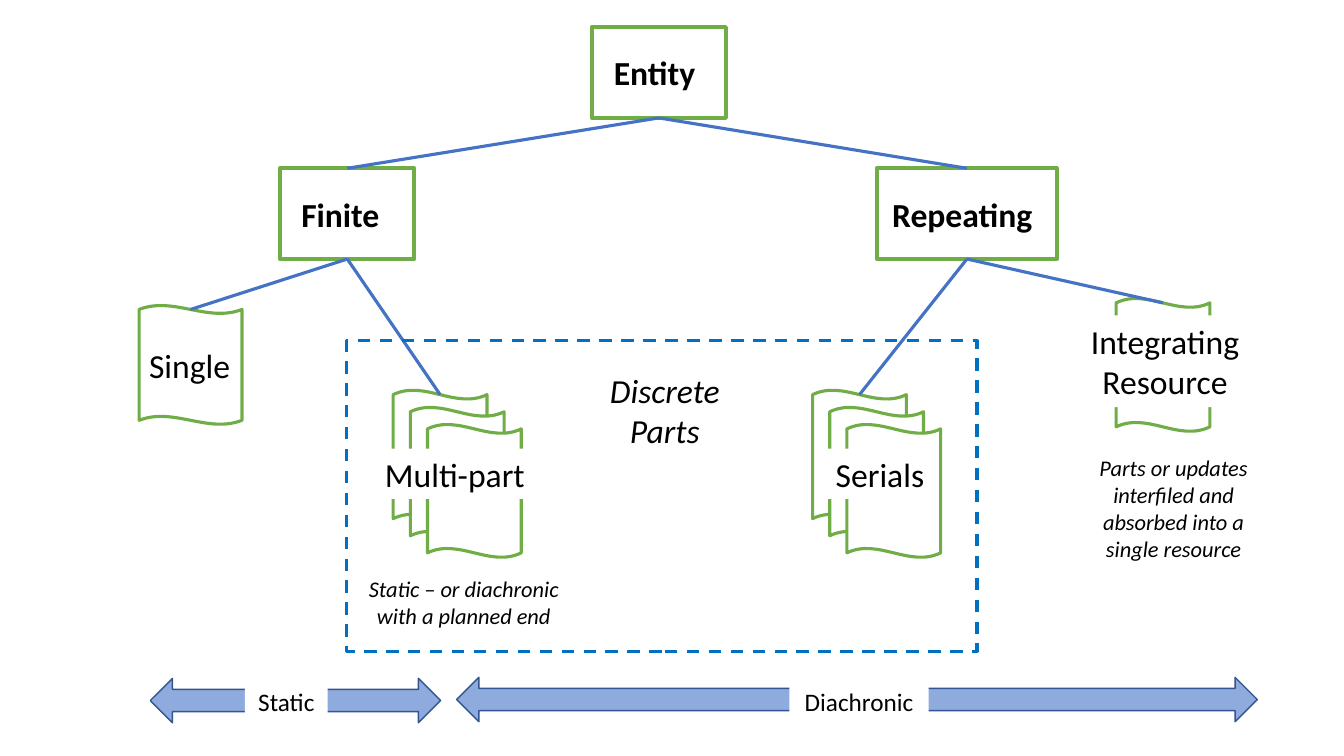
from lxml import etree
from pptx import Presentation
from pptx.dml.color import RGBColor
from pptx.enum import dml, shapes, text
from pptx.oxml import ns
from pptx.util import Inches, Pt

GREEN = RGBColor(0x70, 0xAD, 0x47)
BLUE = RGBColor(0x44, 0x72, 0xC4)
DASH_BLUE = RGBColor(0x00, 0x70, 0xC0)
ARROW_FILL = RGBColor(0x8F, 0xAA, 0xDC)
ARROW_LINE = RGBColor(0x32, 0x54, 0x91)
WHITE = RGBColor(0xFF, 0xFF, 0xFF)
BLACK = RGBColor(0, 0, 0)
FONT = "Calibri"

# Boxes: name, left, top, width, label left, label width
BOX_HEIGHT = 0.9
BOXES = [
    ("Entity", 5.87, 0.27, 1.33, 5.99, 1.1),
    ("Finite", 2.78, 1.67, 1.33, 2.89, 1.1),
    ("Repeating", 8.7, 1.67, 1.78, 8.75, 1.67),
]
BRANCHES = [("Entity", "Finite"), ("Entity", "Repeating")]

# Stacks of sheets: parent box, left, top, width, height, number of sheets
SHEET_STEP = 0.17
SHEET_CURVE = 0.034
STACKS = [
    ("Finite", 1.38, 3.03, 1.02, 1.18, 1),
    ("Finite", 3.9, 3.87, 0.93, 1.32, 3),
    ("Repeating", 8.06, 3.87, 0.93, 1.32, 3),
    ("Repeating", 11.07, 2.96, 0.93, 1.32, 1),
]

# Labels: text, left, top, width, height, size, italic, centred, fill
# (\n starts a paragraph, \v breaks a line)
LABELS = [
    ("Single", 1.38, 3.37, 1.1, 0.5, 24, False, False, None),
    ("Multi-part", 3.72, 4.45, 1.67, 0.5, 24, False, False, WHITE),
    ("Serials", 8.19, 4.45, 1.1, 0.5, 24, False, False, WHITE),
    ("Discrete\nParts", 5.76, 3.62, 1.67, 0.91, 24, True, True, WHITE),
    ("Integrating\vResource", 10.47, 3.13, 2.17, 0.91, 24, False, True, WHITE),
]
NOTES = [
    ("Static – or diachronic with a planned end",
     3.52, 5.66, 2.16, 0.64, 16, True, True, WHITE),
    ("Parts or updates interfiled and absorbed into a single resource",
     10.56, 4.46, 2.16, 1.18, 16, True, True, WHITE),
]
DISCRETE_AREA = (3.44, 3.38, 6.25, 3.08)
ARROWS = [(1.49, 6.73, 2.88, 0.44), (4.53, 6.72, 7.94, 0.44)]
ARROW_LABELS = [
    ("Static", 2.43, 6.76, 0.82, 0.4, 18, False, True, WHITE),
    ("Diachronic", 7.83, 6.76, 1.38, 0.4, 18, False, True, WHITE),
]

prs = Presentation()
prs.slide_width, prs.slide_height = Inches(13.33), Inches(7.5)
s = prs.slides.add_slide(prs.slide_layouts[6])


def add_shape(kind, place, fill, line, width):
    sp = s.shapes.add_shape(kind, *map(Inches, place))
    sp.shadow.inherit = False
    if fill is None:
        sp.fill.background()
    else:
        sp.fill.solid()
        sp.fill.fore_color.rgb = fill
    sp.line.color.rgb = line
    sp.line.width = Pt(width)
    return sp


def add_label(words, left, top, width, height, size,
              italic=False, centred=False, fill=None, bold=False):
    sp = s.shapes.add_textbox(*map(Inches, (left, top, width, height)))
    if fill is not None:
        sp.fill.solid()
        sp.fill.fore_color.rgb = fill
    tf = sp.text_frame
    tf.word_wrap = True
    tf.text = words
    for p in tf.paragraphs:
        if centred:
            p.alignment = text.PP_ALIGN.CENTER
        for r in p.runs:
            r.font.name, r.font.size = FONT, Pt(size)
            r.font.bold, r.font.italic = bold, italic
            r.font.color.rgb = BLACK


def add_branch(parent, x=0, y=0):
    line = s.shapes.add_connector(
        shapes.MSO_CONNECTOR.STRAIGHT, 0, 0, Inches(x), Inches(y))
    line.begin_connect(parent, 2)
    line.line.color.rgb = BLUE
    line.line.width = Pt(2.25)
    etree.SubElement(line._element.spPr, ns.qn("a:effectLst"))
    return line


# Sheets
for _, left, top, width, height, count in STACKS:
    for i in range(count):
        shift = i * SHEET_STEP
        sheet = add_shape(shapes.MSO_SHAPE.WAVE,
                          (left + shift, top + shift, width, height),
                          WHITE, GREEN, 2.25)
        sheet.adjustments[0] = SHEET_CURVE
        sheet.adjustments[1] = 0

# Boxes and labels
boxes = {}
for name, left, top, width, label_left, label_width in BOXES:
    boxes[name] = add_shape(shapes.MSO_SHAPE.RECTANGLE,
                            (left, top, width, BOX_HEIGHT), WHITE, GREEN, 3)
    add_label(name, label_left, top + 0.2, label_width, 0.5, 24, bold=True)
for label in LABELS:
    add_label(*label)

# Branches of the tree
for parent, child in BRANCHES:
    add_branch(boxes[parent]).end_connect(boxes[child], 0)
for parent, left, top, width, height, _ in STACKS:
    add_branch(boxes[parent], left + width / 2, top + SHEET_CURVE * height)

# Dashed area of discrete parts
area = add_shape(shapes.MSO_SHAPE.RECTANGLE, DISCRETE_AREA,
                 None, DASH_BLUE, 2.25)
area.line.dash_style = dml.MSO_LINE.DASH

# Notes, arrows and arrow labels
for note in NOTES:
    add_label(*note)
for place in ARROWS:
    add_shape(shapes.MSO_SHAPE.LEFT_RIGHT_ARROW, place,
              ARROW_FILL, ARROW_LINE, 1)
for label in ARROW_LABELS:
    add_label(*label)

prs.save("out.pptx")
